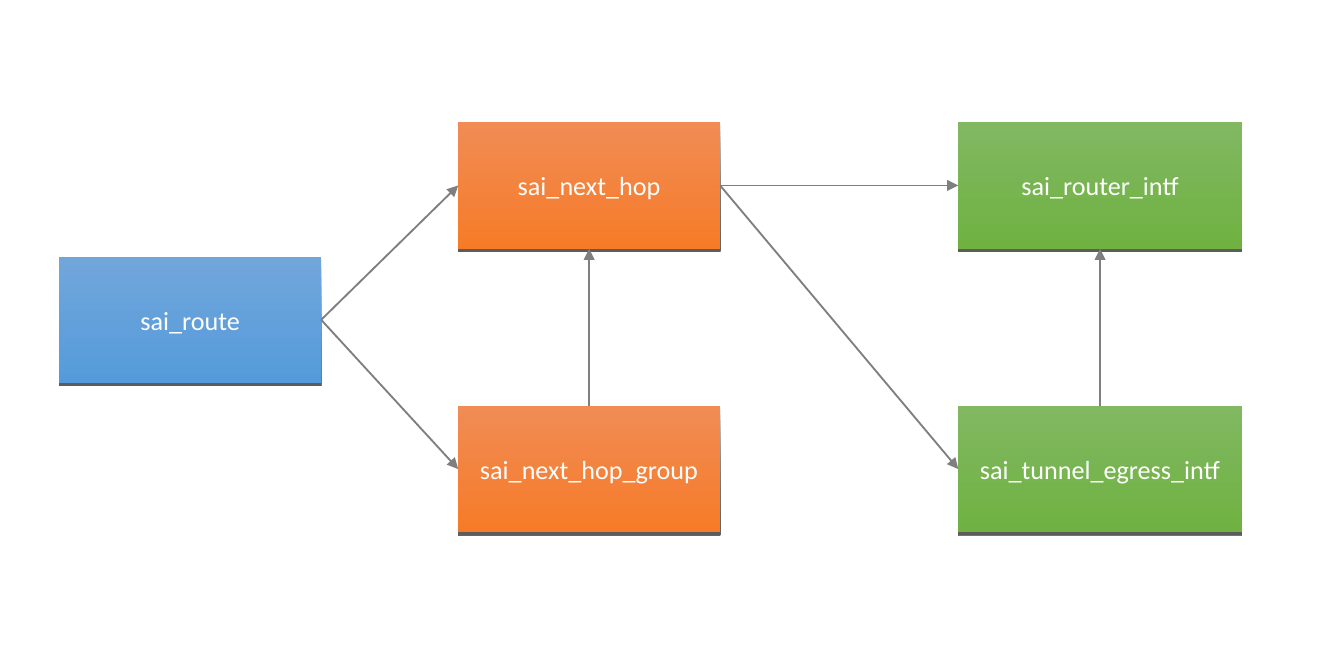
from pptx import Presentation
from pptx.dml.color import RGBColor
from pptx.enum.shapes import MSO_CONNECTOR, MSO_SHAPE
from pptx.enum.text import MSO_ANCHOR, PP_ALIGN
from pptx.oxml import parse_xml
from pptx.oxml.ns import nsdecls, qn
from pptx.util import Cm, Pt

BLUE = ("71A6DB", "559BDB")
ORANGE = ("F18C55", "F67B28")
GREEN = ("81B861", "6FB242")
GRAY = "7F7F7F"
TOP, LEFT, BOTTOM, RIGHT = range(4)  # connection sites of a rectangle
BOX_HEIGHT = 2.39
UPPER, MIDDLE, LOWER = 2.31, 4.85, 7.67


def rgb(color):
    return RGBColor.from_string(color)


def add_box(slide, label, left, top, width, colors):
    sp = slide.shapes.add_shape(MSO_SHAPE.RECTANGLE, Cm(left), Cm(top),
                                Cm(width), Cm(BOX_HEIGHT))
    # Vertical gradient without outline
    sp.fill.gradient()
    sp.fill.gradient_angle = 270
    for stop, position, color in zip(sp.fill.gradient_stops, (0, 1), colors):
        stop.position = position
        stop.color.rgb = rgb(color)
    sp.line.fill.background()

    # Hard shadow below the box
    sp.shadow.inherit = False
    effects = sp.element.spPr.find(qn("a:effectLst"))
    effects.append(parse_xml(
        f'<a:outerShdw {nsdecls("a")} blurRad="0" dist="{Pt(1.5)}" '
        'dir="5400000" algn="ctr" rotWithShape="0"><a:srgbClr val="000000">'
        '<a:alpha val="63000"/></a:srgbClr></a:outerShdw>'))

    # Label
    tf = sp.text_frame
    tf.text = label
    tf.word_wrap = True
    tf.vertical_anchor = MSO_ANCHOR.MIDDLE
    p = tf.paragraphs[0]
    p.alignment = PP_ALIGN.CENTER
    font = p.runs[0].font
    font.name, font.size = "Calibri", Pt(14)
    font.color.rgb = rgb("FFFFFF")
    return sp


def add_arrow(slide, start, start_site, end, end_site):
    line = slide.shapes.add_connector(MSO_CONNECTOR.STRAIGHT, 0, 0, 0, 0)
    line.begin_connect(start, start_site)
    line.end_connect(end, end_site)
    line.line.color.rgb = rgb(GRAY)
    line.line.width = Pt(1)
    spPr = line.element.spPr
    spPr.find(qn("a:ln")).append(
        parse_xml(f'<a:tailEnd {nsdecls("a")} type="triangle"/>'))
    spPr.append(parse_xml(f'<a:effectLst {nsdecls("a")}/>'))


def add_column(slide, left, width, colors, rows):
    return [add_box(slide, label, left, top, width, colors)
            for label, top in rows]


def build_diagram(slide):
    # Columns of objects
    [route] = add_column(slide, 1.12, 4.95, BLUE, [("sai_route", MIDDLE)])
    hop, group = add_column(slide, 8.66, 4.95, ORANGE, [
        ("sai_next_hop", UPPER), ("sai_next_hop_group", LOWER)])
    router, tunnel = add_column(slide, 18.11, 5.36, GREEN, [
        ("sai_router_intf", UPPER), ("sai_tunnel_egress_intf", LOWER)])

    # References to the right
    for start, end in ((route, hop), (route, group),
                       (hop, router), (hop, tunnel)):
        add_arrow(slide, start, RIGHT, end, LEFT)

    # References upwards
    for start, end in ((group, hop), (tunnel, router)):
        add_arrow(slide, start, TOP, end, BOTTOM)


def main():
    prs = Presentation()
    prs.slide_width, prs.slide_height = Cm(25.4), Cm(12.7)
    build_diagram(prs.slides.add_slide(prs.slide_layouts[6]))
    prs.save("out.pptx")


if __name__ == "__main__":
    main()
